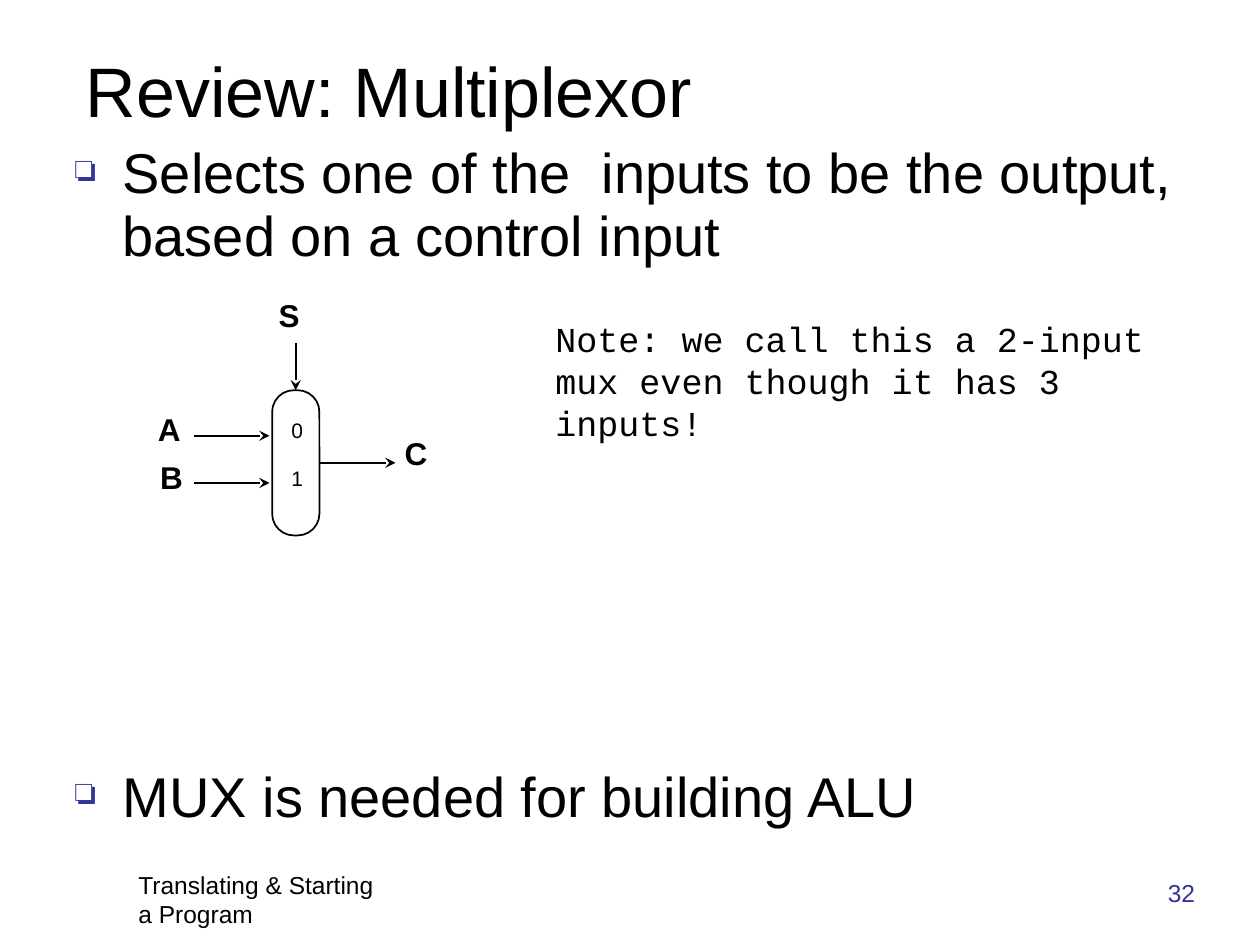
from typing import NamedTuple, Optional

from pptx import Presentation
from pptx.dml.color import RGBColor
from pptx.enum.shapes import MSO_CONNECTOR, MSO_SHAPE
from pptx.enum.text import MSO_ANCHOR, PP_ALIGN
from pptx.oxml.ns import qn
from pptx.util import Pt
from lxml.etree import SubElement

BLACK, WHITE, BLUE = "000000", "FFFFFF", "333399"
NO_INSET = (0, 0, 0, 0)
TEXT_INSET = (7.2, 3.6, 7.2, 3.6)
LABEL_INSET = (1.6, 2.2, 1.6, 2.2)


class Label(NamedTuple):
    text: str
    x: float
    y: float


class Wire(NamedTuple):
    x1: float
    y1: float
    x2: float
    y2: float
    begin_site: Optional[int] = None
    end_site: Optional[int] = None


SIGNALS = [
    Label("S", 157.7, 161.3),
    Label("C", 229.7, 240.5),
    Label("A", 88.6, 226.8),
    Label("B", 90, 254.2),
]
SELECT_VALUES = [Label("0", 164.9, 236.9), Label("1", 164.9, 264.3)]

WIRES = [
    Wire(169, 196, 169, 223, end_site=0),
    Wire(111, 249, 154, 249),
    Wire(111, 276, 154, 276),
    Wire(182.5, 264.5, 226, 264.5, begin_site=3),
]


def color(value: str) -> RGBColor:
    return RGBColor.from_string(value)


def add_bullet(p, char: str, fill: str, percent: int, indent: float) -> None:
    pPr = p._p.get_or_add_pPr()
    pPr.set("marL", str(Pt(indent)))
    pPr.set("indent", str(-Pt(indent)))
    clr = SubElement(pPr, qn("a:buClr"))
    SubElement(clr, qn("a:srgbClr")).set("val", fill)
    SubElement(pPr, qn("a:buSzPct")).set("val", str(percent * 1000))
    SubElement(pPr, qn("a:buChar")).set("char", char)


def add_text(s, *texts: str, x: float, y: float, w: float, h: float,
             size: float, font: str = "Arial", fill: str = BLACK,
             bold: bool = False, align=PP_ALIGN.LEFT, anchor=MSO_ANCHOR.TOP,
             inset=TEXT_INSET, spacing=None, gap: float = 0,
             bullet: bool = False):
    sp = s.shapes.add_textbox(Pt(x), Pt(y), Pt(w), Pt(h))
    tf = sp.text_frame
    tf.word_wrap = True
    tf.vertical_anchor = anchor
    tf.margin_left, tf.margin_top, tf.margin_right, tf.margin_bottom = map(Pt, inset)
    for i, text in enumerate(texts):
        p = tf.add_paragraph() if i else tf.paragraphs[0]
        p.alignment = align
        if bullet:
            add_bullet(p, "❏", BLUE, 65, 27)
        if spacing:
            p.line_spacing = spacing
        if i:
            p.space_before = Pt(gap)
        r = p.add_run()
        r.text = text
        r.font.name, r.font.size, r.font.bold = font, Pt(size), bold
        r.font.color.rgb = color(fill)
    return sp


def add_mux(s):
    sp = s.shapes.add_shape(MSO_SHAPE.ROUNDED_RECTANGLE,
                            Pt(155.5), Pt(223), Pt(27), Pt(83))
    sp.adjustments[0] = 0.46
    sp.shadow.inherit = False
    sp.fill.solid()
    sp.fill.fore_color.rgb = color(WHITE)
    sp.line.color.rgb = color(BLACK)
    sp.line.width = Pt(1)
    return sp


def add_wire(s, wire: Wire, mux) -> None:
    cxn = s.shapes.add_connector(MSO_CONNECTOR.STRAIGHT, Pt(wire.x1), Pt(wire.y1),
                                 Pt(wire.x2), Pt(wire.y2))
    if wire.begin_site is not None:
        cxn.begin_connect(mux, wire.begin_site)
    if wire.end_site is not None:
        cxn.end_connect(mux, wire.end_site)
    cxn.line.color.rgb = color(BLACK)
    cxn.line.width = Pt(1)
    SubElement(cxn.line._get_or_add_ln(), qn("a:tailEnd")).set("type", "stealth")
    SubElement(cxn._element.spPr, qn("a:effectLst"))


def main() -> None:
    prs = Presentation()
    prs.slide_width, prs.slide_height = Pt(720), Pt(540)
    s = prs.slides.add_slide(prs.slide_layouts[6])

    add_text(s, "Review: Multiplexor", x=42, y=43.2, w=642, h=35.3, size=40,
             anchor=MSO_ANCHOR.BOTTOM)
    add_text(s, "Selects one of the  inputs to be the output, based on a control input",
             "MUX is needed for building ALU", x=36, y=78.5, w=654, h=420,
             size=32, spacing=0.93, gap=285, bullet=True)

    mux = add_mux(s)
    for wire in WIRES:
        add_wire(s, wire, mux)
    for label in SIGNALS:
        add_text(s, label.text, x=label.x, y=label.y, w=45, h=48, size=18,
                 bold=True, inset=LABEL_INSET, spacing=Pt(27))
    for label in SELECT_VALUES:
        add_text(s, label.text, x=label.x, y=label.y, w=40, h=24, size=12,
                 inset=LABEL_INSET, spacing=Pt(14))

    add_text(s, "Note: we call this a 2-input mux even though it has 3 inputs!",
             x=310.3, y=178, w=355.7, h=79, size=20, font="Courier New")
    add_text(s, "Translating & Starting a Program", x=72, y=510, w=150, h=24,
             size=14, anchor=MSO_ANCHOR.BOTTOM)
    add_text(s, "32", x=600, y=498, w=90, h=24, size=14, fill=BLUE,
             align=PP_ALIGN.RIGHT, anchor=MSO_ANCHOR.BOTTOM)
    prs.save("out.pptx")


if __name__ == "__main__":
    main()
